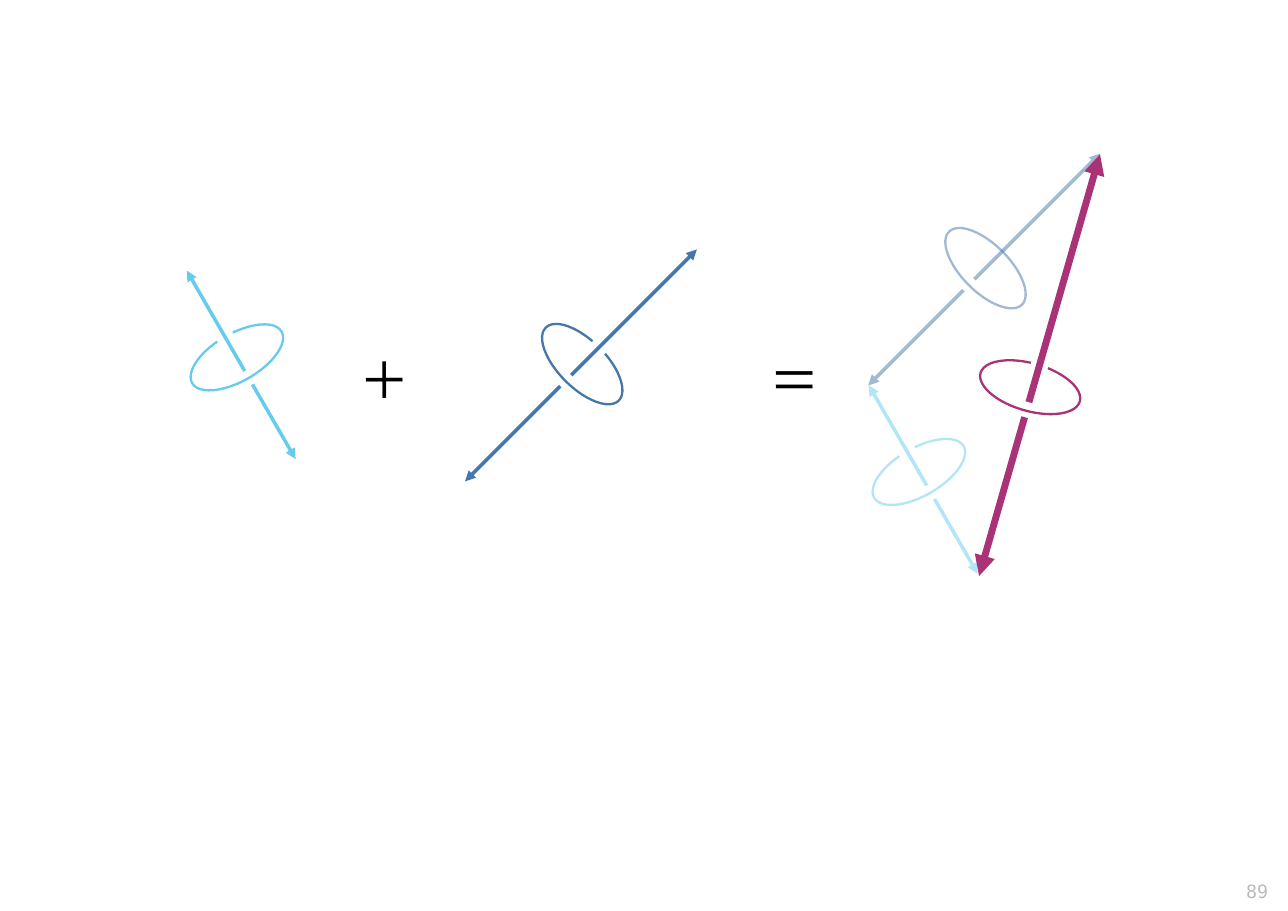
from math import cos, radians, sin

from lxml.etree import SubElement
from pptx import Presentation
from pptx.dml.color import RGBColor
from pptx.enum.shapes import MSO_CONNECTOR, MSO_SHAPE
from pptx.enum.text import MSO_ANCHOR, PP_ALIGN
from pptx.oxml.ns import qn
from pptx.util import Pt

COLORS = {"cyan": "66CCEE", "blue": "4477AA", "magenta": "AA3377",
          "white": "FFFFFF", "black": "000000", "gray": "BBBBBB"}
RING_WIDTH, RING_HEIGHT, RING_LINE = 67.5, 31.1, 1.5
GAP_SIZE, GAP_DISTANCE = 11.5, 14.6
LOWER_START, UPPER_START = -20.4, -10.2


def style_line(shape, color, width, opacity):
    shape.line.color.rgb = RGBColor.from_string(COLORS[color])
    shape.line.width = Pt(width)
    if opacity < 100:
        color_element = shape.line._get_or_add_ln().find(".//" + qn("a:srgbClr"))
        SubElement(color_element, qn("a:alpha"), val=str(opacity * 1000))


def add_text(text, left, top, width, height, font_name, size, color, alignment):
    box = slide.shapes.add_textbox(Pt(left), Pt(top), Pt(width), Pt(height))
    box.text_frame.word_wrap = False
    box.text_frame.vertical_anchor = MSO_ANCHOR.TOP
    paragraph = box.text_frame.paragraphs[0]
    paragraph.text = text
    paragraph.alignment = alignment
    paragraph.font.name = font_name
    paragraph.font.size = Pt(size)
    paragraph.font.color.rgb = RGBColor.from_string(COLORS[color])


presentation = Presentation()
presentation.slide_width, presentation.slide_height = Pt(841.68), Pt(595.44)
slide = presentation.slides.add_slide(presentation.slide_layouts[6])

# Page number
add_text("89", 763.92, 571.68, 72, 20.88, "DejaVu Sans Mono", 12, "gray", PP_ALIGN.RIGHT)

# Rotation axes: color, centre, ring shift, angle, lower and upper length,
# shaft width, opacity, gap behind the shaft
sum_axes = [
    ("blue", 644, 175.3, 0, 45, 108.4, 106, 2.3, 50, False),
    ("cyan", 600.5, 308.5, 0, -30, 76.8, 65.5, 2.3, 50, True),
    ("magenta", 675.2, 253.1, -2, 16, 128.4, 158.4, 4.5, 100, True),
]
second_axis = [("blue", 380.5, 238, 0, 45, 108.4, 106, 2.3, 100, True)]
first_axis = [("cyan", 154.8, 233.6, 0, -30, 76.8, 65.5, 2.3, 100, True)]

for axes in (sum_axes, second_axis, first_axis):
    group = slide.shapes.add_group_shape()
    for color, x, y, ring_shift, angle, lower, upper, width, opacity, has_gap in axes:
        along_x, along_y = sin(radians(angle)), -cos(radians(angle))

        # Ring around the axis
        ring = group.shapes.add_shape(
            MSO_SHAPE.OVAL, Pt(x + ring_shift - RING_WIDTH / 2), Pt(y - RING_HEIGHT / 2),
            Pt(RING_WIDTH), Pt(RING_HEIGHT))
        ring.rotation = angle
        ring.shadow.inherit = False
        ring.fill.background()
        style_line(ring, color, RING_LINE, opacity)

        # White gap where the ring passes behind the shaft
        if has_gap:
            gap = group.shapes.add_shape(
                MSO_SHAPE.RECTANGLE,
                Pt(x + GAP_DISTANCE * along_x - GAP_SIZE / 2),
                Pt(y + GAP_DISTANCE * along_y - GAP_SIZE / 2),
                Pt(GAP_SIZE), Pt(GAP_SIZE))
            gap.rotation = angle
            gap.shadow.inherit = False
            gap.fill.solid()
            gap.fill.fore_color.rgb = RGBColor.from_string(COLORS["white"])
            gap.line.fill.background()

        # Lower and upper half of the shaft
        for start, end in ((LOWER_START, -lower), (UPPER_START, upper)):
            shaft = group.shapes.add_connector(
                MSO_CONNECTOR.STRAIGHT,
                Pt(x + start * along_x), Pt(y + start * along_y),
                Pt(x + end * along_x), Pt(y + end * along_y))
            style_line(shaft, color, width, opacity)
            SubElement(shaft.line._get_or_add_ln(), qn("a:tailEnd"), type="triangle")
            SubElement(shaft._element.spPr, qn("a:effectLst"))

# Operators
for operator, left in (("+", 228.96), ("=", 496.8)):
    add_text(operator, left, 215.28, 38.16, 61.92, "TeX Gyre Pagella", 40, "black",
             PP_ALIGN.LEFT)

presentation.save("out.pptx")
